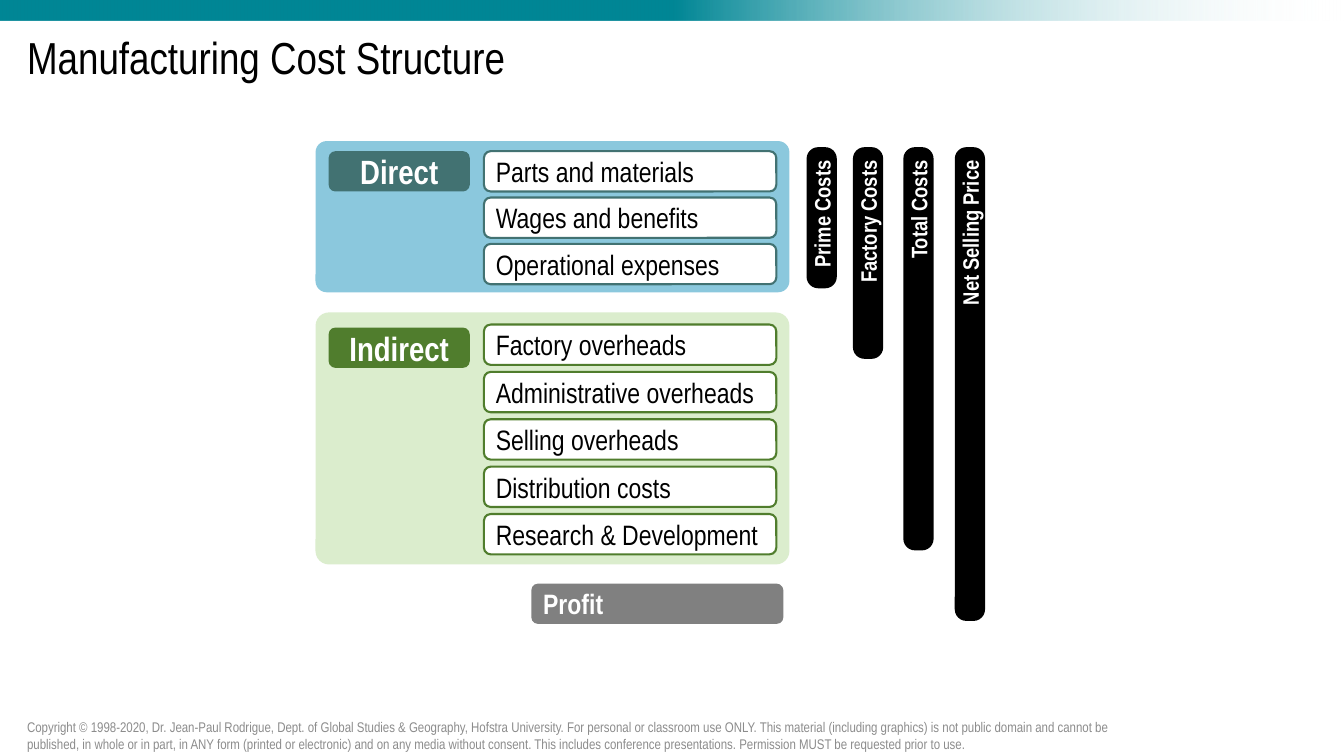
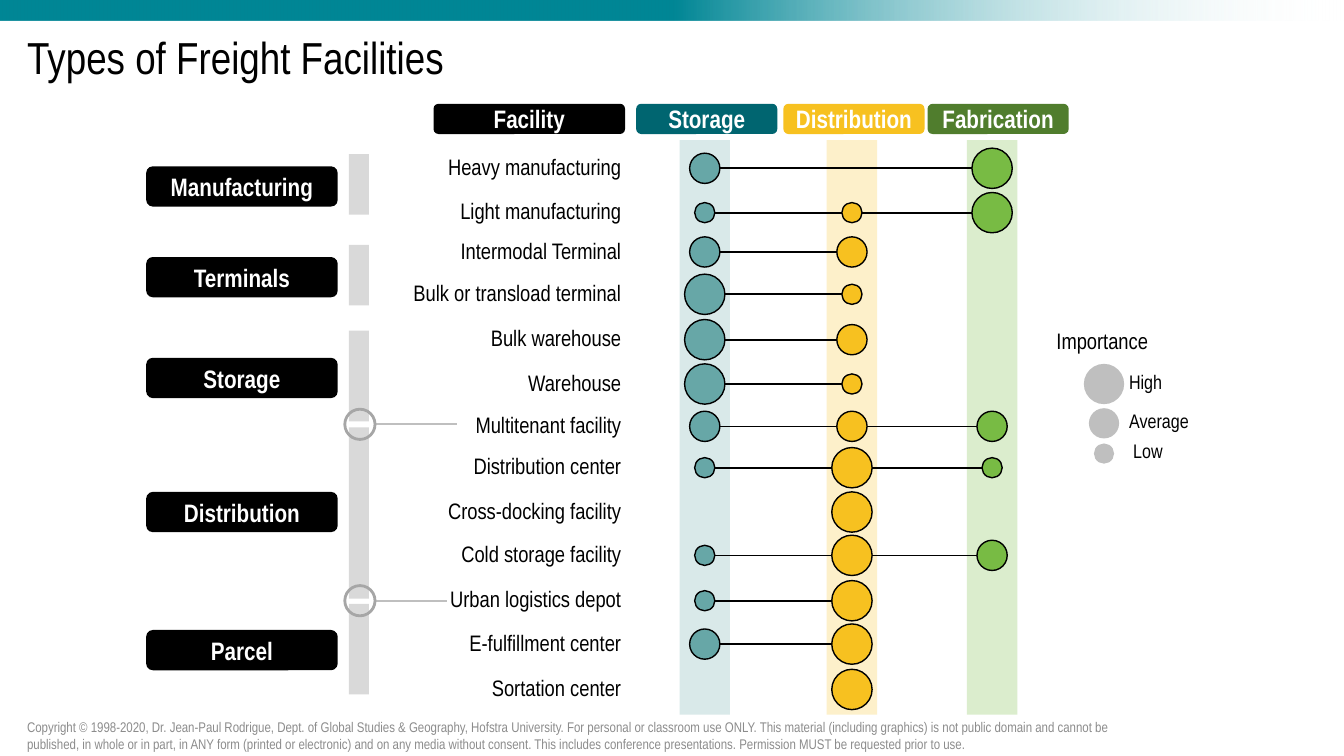
from itertools import pairwise

from lxml import etree
from pptx import Presentation
from pptx.dml.color import RGBColor
from pptx.enum import shapes, text
from pptx.oxml.ns import qn
from pptx.util import Inches, Pt

# Palette
BLACK = RGBColor(0x00, 0x00, 0x00)
WHITE = RGBColor(0xFF, 0xFF, 0xFF)
TEAL = RGBColor(0x00, 0x86, 0x95)
DEEP_TEAL = RGBColor(0x00, 0x65, 0x70)
SLATE = RGBColor(0x42, 0x72, 0x72)
SEA = RGBColor(0x67, 0xA7, 0xA7)
PALE_SEA = RGBColor(0xD9, 0xE9, 0xE9)
SKY = RGBColor(0x8B, 0xC8, 0xDD)
FOREST = RGBColor(0x50, 0x7D, 0x2D)
LEAF = RGBColor(0x78, 0xBB, 0x44)
PALE_LEAF = RGBColor(0xDB, 0xED, 0xCD)
AMBER = RGBColor(0xF7, 0xC1, 0x20)
PALE_AMBER = RGBColor(0xFD, 0xF0, 0xCA)
GRAY = RGBColor(0x80, 0x80, 0x80)
FOOTER_GRAY = RGBColor(0x8C, 0x8C, 0x8C)
RING_GRAY = RGBColor(0xA6, 0xA6, 0xA6)
LEGEND_GRAY = RGBColor(0xBF, 0xBF, 0xBF)
BRACKET_GRAY = RGBColor(0xD9, 0xD9, 0xD9)

LEFT, CENTER, RIGHT = (text.PP_ALIGN.LEFT, text.PP_ALIGN.CENTER,
                       text.PP_ALIGN.RIGHT)
RECT = shapes.MSO_SHAPE.RECTANGLE
ROUND = shapes.MSO_SHAPE.ROUNDED_RECTANGLE
OVAL = shapes.MSO_SHAPE.OVAL

COPYRIGHT = (
    "Copyright © 1998-2020, Dr. Jean-Paul Rodrigue, Dept. of Global Studies & "
    "Geography, Hofstra University. For personal or classroom use ONLY. This "
    "material (including graphics) is not public domain and cannot be published, "
    "in whole or in part, in ANY form (printed or electronic) and on any media "
    "without consent. This includes conference presentations. Permission MUST be "
    "requested prior to use.")


class Deck:
    """Shared style plus the slide being drawn; lengths are in inches."""

    font = "Arial Narrow"

    def __init__(self):
        self.prs = Presentation()
        self.prs.slide_width = Inches(13.33)
        self.prs.slide_height = Inches(7.5)
        self.slide = None

    def new_slide(self, title):
        self.slide = self.prs.slides.add_slide(self.prs.slide_layouts[6])
        self.top_band()
        heading = self.label(title, 0.17, 0.2, 13, 0.8, size=32, middle=True)
        heading.text_frame.paragraphs[0].line_spacing = 0.9
        self.label(COPYRIGHT, 0.17, 7.1, 10.95, 0.4, size=10,
                   color=FOOTER_GRAY, middle=True)

    def top_band(self):
        band = self.shape(RECT, 0, 0, 13.33, 0.2, TEAL)
        band.fill.gradient()
        band.fill.gradient_angle = 0
        solid, faded = band.fill.gradient_stops
        solid.position, solid.color.rgb = 0.5, TEAL
        faded.position, faded.color.rgb = 1, WHITE
        # The right end fades to full transparency
        white = band._element.spPr.findall(".//" + qn("a:srgbClr"))[-1]
        etree.SubElement(white, qn("a:alpha"), val="0")

    def set_text(self, shape, words, size, color, bold, align, middle):
        frame = shape.text_frame
        frame.text = words
        frame.word_wrap = True
        frame.vertical_anchor = (text.MSO_ANCHOR.MIDDLE if middle
                                 else text.MSO_ANCHOR.TOP)
        paragraph = frame.paragraphs[0]
        paragraph.alignment = align
        font = paragraph.runs[0].font
        font.name, font.size, font.bold = self.font, Pt(size), bold
        font.color.rgb = color

    def label(self, words, x, y, w, h=0.37, size=16, color=BLACK, align=LEFT,
              middle=False):
        box = self.slide.shapes.add_textbox(
            Inches(x), Inches(y), Inches(w), Inches(h))
        self.set_text(box, words, size, color, False, align, middle)
        return box

    def shape(self, kind, x, y, w, h, fill=None, line=None, width=1.0,
              corner=None):
        item = self.slide.shapes.add_shape(
            kind, Inches(x), Inches(y), Inches(w), Inches(h))
        item.shadow.inherit = False
        if fill is None:
            item.fill.background()
        else:
            item.fill.solid()
            item.fill.fore_color.rgb = fill
        if line is None:
            item.line.fill.background()
        else:
            item.line.color.rgb = line
            item.line.width = Pt(width)
        if corner is not None:
            item.adjustments[0] = corner
        return item

    def tag(self, words, x, y, w, h, fill, size=18, align=CENTER, corner=None):
        tag = self.shape(ROUND, x, y, w, h, fill, corner=corner)
        self.set_text(tag, words, size, WHITE, True, align, True)
        return tag

    def item(self, words, x, y, border):
        item = self.shape(ROUND, x, y, 2.9, 0.4, WHITE, border, 1.5)
        self.set_text(item, words, 20, BLACK, False, LEFT, True)

    def upright_bar(self, words, center, top, length, thick=0.3):
        bar = self.tag(words, center - length / 2, top + (length - thick) / 2,
                       length, thick, BLACK, 16, RIGHT, 0.383)
        bar.rotation = 270

    def circle(self, cx, cy, radius, fill=None, line=None, width=1.0):
        self.shape(OVAL, cx - radius, cy - radius, 2 * radius, 2 * radius,
                   fill, line, width)

    def link(self, x1, x2, y, color=BLACK):
        link = self.slide.shapes.add_connector(
            shapes.MSO_CONNECTOR.STRAIGHT,
            Inches(x1), Inches(y), Inches(x2), Inches(y))
        link.line.color.rgb = color
        link.line.width = Pt(1.25)
        etree.SubElement(link._element.spPr, qn("a:effectLst"))


def cost_structure(deck):
    deck.new_slide("Manufacturing Cost Structure")

    # Cost groups: name, panel top, height, corner, fill, accent,
    # tag top, first item top, item step, items
    groups = [
        ("Direct", 1.4, 1.5, 0.074, SKY, SLATE, 1.5, 1.5, 0.46,
         ["Parts and materials", "Wages and benefits", "Operational expenses"]),
        ("Indirect", 3.1, 2.5, 0.053, PALE_LEAF, FOREST, 3.25, 3.22, 0.47,
         ["Factory overheads", "Administrative overheads", "Selling overheads",
          "Distribution costs", "Research & Development"]),
    ]
    for (name, top, height, corner, fill, accent,
         tag_top, first, step, costs) in groups:
        deck.shape(ROUND, 3.13, top, 4.7, height, fill, corner=corner)
        deck.tag(name, 3.26, tag_top, 1.4, 0.4, accent, 24)
        for row, cost in enumerate(costs):
            deck.item(cost, 4.8, first + row * step, accent)
    deck.tag("Profit", 5.27, 5.79, 2.5, 0.4, GRAY, 20, LEFT)

    # Cumulative cost bars
    for words, center, length in [
            ("Prime Costs", 8.15, 1.4), ("Factory Costs", 8.61, 2.1),
            ("Total Costs", 9.11, 4), ("Net Selling Price", 9.62, 4.7)]:
        deck.upright_bar(words, center, 1.46, length)


def freight_facilities(deck):
    deck.new_slide("Types of Freight Facilities")
    radii = {"H": 0.2, "A": 0.15, "L": 0.1}

    # Function columns: name, center, header left, header, band, circle colours
    functions = [
        ("Storage", 6.99, 6.31, DEEP_TEAL, PALE_SEA, SEA),
        ("Distribution", 8.45, 7.77, AMBER, PALE_AMBER, AMBER),
        ("Fabrication", 9.84, 9.2, FOREST, PALE_LEAF, LEAF),
    ]
    deck.tag("Facility", 4.3, 1.03, 1.9, 0.3, BLACK)
    for name, center, left, header, band, _ in functions:
        deck.shape(RECT, center - 0.25, 1.39, 0.5, 5.7, band)
        deck.tag(name, left, 1.03, 1.4, 0.3, header)

    # Facility rows: name, center, importance per function (- for none)
    facilities = [
        ("Heavy manufacturing", 1.67, "A-H"),
        ("Light manufacturing", 2.11, "LLH"),
        ("Intermodal Terminal", 2.5, "AA-"),
        ("Bulk or transload terminal", 2.92, "HL-"),
        ("Bulk warehouse", 3.37, "HA-"),
        ("Warehouse", 3.81, "HL-"),
        ("Multitenant facility", 4.23, "AAA"),
        ("Distribution center", 4.64, "LHL"),
        ("Cross-docking facility", 5.08, "-H-"),
        ("Cold storage facility", 5.51, "LHA"),
        ("Urban logistics depot", 5.96, "LH-"),
        ("E-fulfillment center", 6.39, "AH-"),
        ("Sortation center", 6.84, "-H-"),
    ]
    for name, y, levels in facilities:
        deck.label(name, 3.85, y - 0.2, 2.41, align=RIGHT)
        dots = [(function[1], radii[level], function[-1])
                for function, level in zip(functions, levels) if level != "-"]
        for center, radius, color in dots:
            deck.circle(center, y, radius, color, BLACK)
        for (start, r1, _), (end, r2, _) in pairwise(dots):
            deck.link(start + r1, end - r2, y)

    # Facility classes: name, tag top, bracket top and height
    for name, top, bracket_top, height in [
            ("Manufacturing", 1.65, 1.53, 0.6), ("Terminals", 2.55, 2.43, 0.6),
            ("Storage", 3.55, 3.28, 0.9), ("Distribution", 4.88, 4.24, 1.7),
            ("Parcel", 6.25, 5.99, 0.9)]:
        deck.tag(name, 1.45, top, 1.9, 0.4, BLACK)
        deck.shape(RECT, 3.46, bracket_top, 0.2, height, BRACKET_GRAY)

    # Facilities shared by two classes
    for y, end in [(4.21, 4.53), (5.96, 4.43)]:
        deck.link(3.73, end, y, LEGEND_GRAY)
        deck.circle(3.57, y, 0.15, line=RING_GRAY, width=2)

    # Importance legend
    deck.label("Importance", 10.38, 3.2, 1.2)
    for name, x, y in [("High", 11.1, 3.81), ("Average", 11.1, 4.2),
                       ("Low", 11.14, 4.5)]:
        deck.circle(10.95, y, radii[name[0]], LEGEND_GRAY)
        deck.label(name, x, y - 0.19, 0.9, 0.34, size=14)


def main():
    deck = Deck()
    cost_structure(deck)
    freight_facilities(deck)
    deck.prs.save("out.pptx")


if __name__ == "__main__":
    main()
